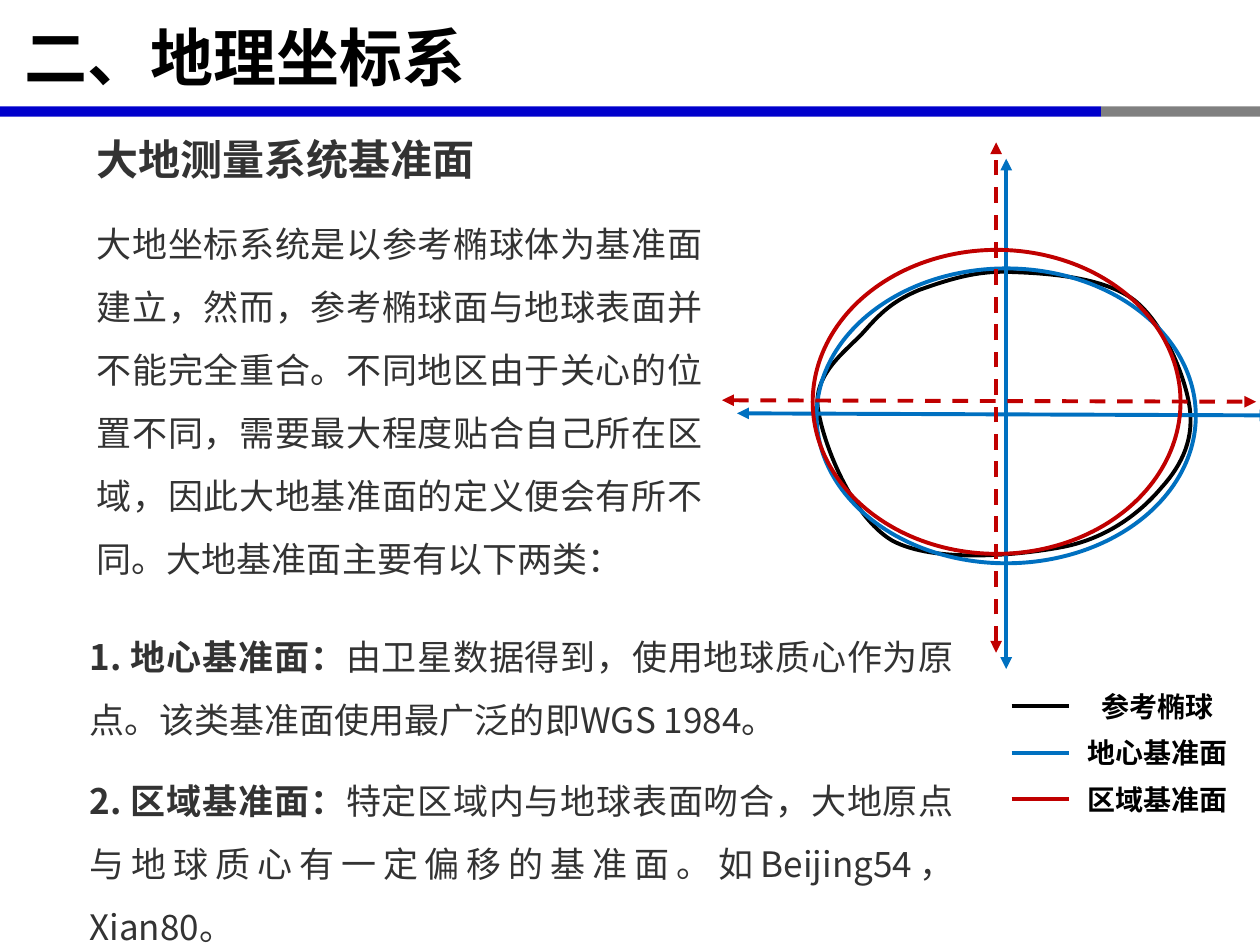
from dataclasses import dataclass

from lxml.etree import SubElement
from pptx import Presentation
from pptx.dml.color import RGBColor
from pptx.enum.dml import MSO_LINE
from pptx.enum.shapes import MSO_CONNECTOR, MSO_SHAPE
from pptx.enum.text import MSO_ANCHOR, PP_ALIGN
from pptx.oxml.ns import qn
from pptx.util import Pt


@dataclass(frozen=True)
class Theme:
    font: str = "Noto Sans CJK SC"
    black: str = "000000"
    gray: str = "333333"
    bar: str = "0000CC"
    tail: str = "808080"
    blue: str = "0070C0"
    red: str = "C00000"
    title: int = 36
    head: int = 24
    body: int = 20
    label: int = 16
    line: float = 2.25


THEME = Theme()

START = (82.6, 107.6)
CURVES = [
    ((92.7, 96.1), (99.9, 90.4), (113.6, 84.6)),
    ((128, 79.6), (146, 73.1), (166.9, 74.5)),
    ((187, 75.2), (218.7, 77.4), (236, 90.4)),
    ((252.6, 103.3), (264.8, 132.8), (267.7, 150.8)),
    ((270.6, 168.8), (264.1, 184), (251.8, 197.6)),
    ((240.3, 211.3), (221.6, 226.4), (195.7, 231.5)),
    ((169.8, 236.5), (121.5, 240.8), (97.8, 227.9)),
    ((74.7, 214.2), (58.2, 172.4), (55.3, 151.6)),
    ((53.1, 131.4), (73.3, 118.4), START),
]


def style_run(run, size, color, bold):
    font = run.font
    font.name, font.size, font.bold = THEME.font, Pt(size), bold
    font.color.rgb = RGBColor.from_string(color)
    SubElement(run._r.get_or_add_rPr(), qn("a:ea")).set("typeface", THEME.font)


def add_text(shapes, box, paras, color, align, anchor=MSO_ANCHOR.TOP, wrap=True):
    frame = shapes.add_textbox(*map(Pt, box)).text_frame
    frame.word_wrap = wrap
    frame.vertical_anchor = anchor
    for i, (size, space, parts) in enumerate(paras):
        para = frame.add_paragraph() if i else frame.paragraphs[0]
        para.alignment = align
        para.line_spacing = space
        para.space_before = Pt(size / 2 if i else 0)
        for text, bold in parts:
            run = para.add_run()
            run.text = text
            style_run(run, size, color, bold)
    return frame


def style_line(line, color, dash=False):
    line.color.rgb = RGBColor.from_string(color)
    line.width = Pt(THEME.line)
    if dash:
        line.dash_style = MSO_LINE.DASH


def add_line(shapes, ends, color, dash=False, arrows=False):
    link = shapes.add_connector(MSO_CONNECTOR.STRAIGHT, *map(Pt, ends))
    style_line(link.line, color, dash)
    if arrows:
        for tag in ("a:headEnd", "a:tailEnd"):
            SubElement(link.line._get_or_add_ln(), qn(tag)).set("type", "triangle")
    SubElement(link._element.spPr, qn("a:effectLst"))


def add_header(slide, box):
    left, top, width, height = box
    frame = add_text(slide.shapes, (left, top, width - 10, 63),
                     [(THEME.title, 1, [("二、地理坐标系", True)])],
                     THEME.black, PP_ALIGN.LEFT, MSO_ANCHOR.MIDDLE)
    frame.margin_left = Pt(14)
    split = width * 0.874
    bars = [(left, split, THEME.bar), (left + split, width - split, THEME.tail)]
    for x, wide, color in bars:
        bar = slide.shapes.add_shape(MSO_SHAPE.RECTANGLE, Pt(x), Pt(top + height - 5.8),
                                     Pt(wide), Pt(5.8))
        bar.shadow.inherit = False
        bar.fill.solid()
        bar.fill.fore_color.rgb = RGBColor.from_string(color)
        bar.line.fill.background()


def add_intro(slide, box):
    body = ("大地坐标系统是以参考椭球体为基准面建立，然而，参考椭球面与地球表面并不能完全重合。"
            "不同地区由于关心的位置不同，需要最大程度贴合自己所在区域，因此大地基准面的定义便会"
            "有所不同。大地基准面主要有以下两类：")
    add_text(slide.shapes, box,
             [(THEME.head, 1, [("大地测量系统基准面", True)]),
              (THEME.body, 1.5, [(body, False)])],
             THEME.gray, PP_ALIGN.JUSTIFY)


def add_types(slide, box):
    items = [
        ("1. 地心基准面：",
         "由卫星数据得到，使用地球质心作为原点。该类基准面使用最广泛的即WGS 1984。"),
        ("2. 区域基准面：",
         "特定区域内与地球表面吻合，大地原点与地球质心有一定偏移的基准面。如Beijing54，Xian80。"),
    ]
    add_text(slide.shapes, box,
             [(THEME.body, 1.5, [(name, True), (text, False)]) for name, text in items],
             THEME.gray, PP_ALIGN.JUSTIFY)


def add_earth(shapes, box):
    left, top = box[:2]
    pen = shapes.build_freeform(Pt(left + START[0]), Pt(top + START[1]))
    pen.add_line_segments([(Pt(left + x), Pt(top + y)) for *_, (x, y) in CURVES])
    earth = pen.convert_to_shape()
    dx, dy = Pt(left) - earth.left, Pt(top) - earth.top
    track = next(earth._element.iter(qn("a:path")))
    earth.width, earth.height = Pt(213), Pt(162.7)
    track.set("w", str(earth.width))
    track.set("h", str(earth.height))
    sides = track.findall(qn("a:lnTo"))
    for side, curve in zip(sides, CURVES):
        side.tag = qn("a:cubicBezTo")
        side.remove(side[0])
        for x, y in curve:
            SubElement(side, qn("a:pt"), x=str(Pt(x) + dx), y=str(Pt(y) + dy))
    for side in sides[len(CURVES):]:
        track.remove(side)
    earth.shadow.inherit = False
    earth.fill.background()
    style_line(earth.line, THEME.black)


def add_datum(shapes, box, across, down, oval, color, dash=False):
    left, top = box[:2]
    for x1, y1, x2, y2 in (across, down):
        add_line(shapes, (left + x1, top + y1, left + x2, top + y2), color, dash, True)
    x, y, width, height = oval
    ring = shapes.add_shape(MSO_SHAPE.OVAL, Pt(left + x), Pt(top + y), Pt(width), Pt(height))
    ring.shadow.inherit = False
    ring.fill.background()
    style_line(ring.line, color)


def add_figure(slide, box):
    shapes = slide.shapes.add_group_shape().shapes
    add_earth(shapes, box)
    add_datum(shapes, box, (9.2, 155.2, 314.5, 156.4), (163, 301.3, 163, 9.7),
              (54.6, 72.4, 216.7, 168.5), THEME.blue)
    add_datum(shapes, box, (0.6, 147.7, 305.8, 148.6), (157.2, 292, 157.2, 0.4),
              (52.4, 61.8, 210.2, 173.7), THEME.red, True)


def add_legend(slide, box):
    left, top, width, height = box
    shapes = slide.shapes.add_group_shape().shapes
    items = [("参考椭球", THEME.black), ("地心基准面", THEME.blue), ("区域基准面", THEME.red)]
    step = height / len(items)
    for i, (name, color) in enumerate(items):
        y = top + i * step
        mid = y + step / 2
        add_line(shapes, (left, mid, left + 32.6, mid), color)
        add_text(shapes, (left + 36, y, width - 36, step),
                 [(THEME.label, 1, [(name, True)])],
                 THEME.black, PP_ALIGN.CENTER, MSO_ANCHOR.MIDDLE, False)


def main():
    deck = Presentation()
    deck.slide_width, deck.slide_height = Pt(720), Pt(540)
    slide = deck.slides.add_slide(deck.slide_layouts[6])
    add_header(slide, (0, 0.4, 720, 66.2))
    add_intro(slide, (48.2, 72.7, 360.4, 262))
    add_figure(slide, (412, 81, 315, 302))
    add_legend(slide, (578.1, 390.2, 130.8, 79.7))
    add_types(slide, (44, 347.8, 508.3, 160.6))
    deck.save("out.pptx")


if __name__ == "__main__":
    main()
